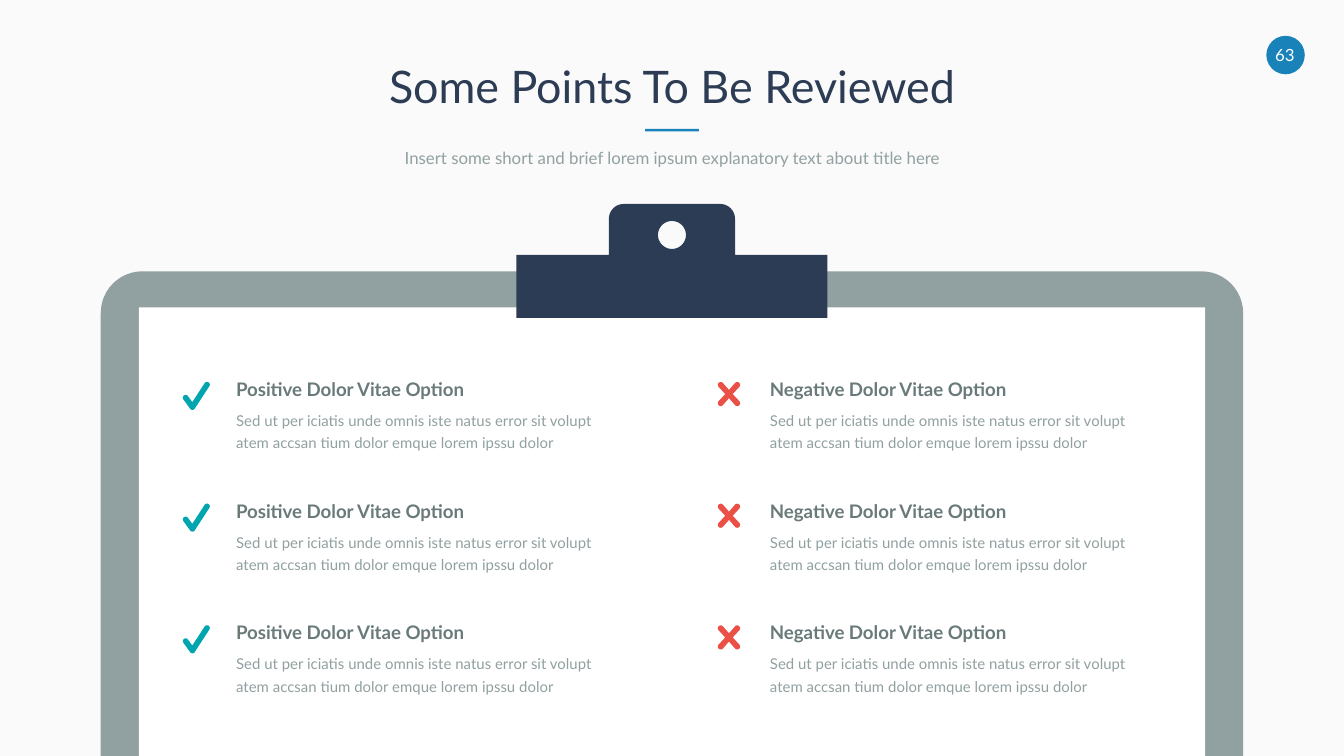
from dataclasses import dataclass
from math import cos, radians, sin

from pptx import Presentation
from pptx.dml.color import RGBColor as Rgb
from pptx.enum.shapes import MSO_SHAPE as Kind
from pptx.enum.text import MSO_ANCHOR as Anchor, MSO_AUTO_SIZE as Fit, PP_ALIGN as Align
from pptx.util import Pt


@dataclass(frozen=True)
class Theme:
    """Colours, font and type sizes."""
    font: str = "Lato"
    back: str = "FAFAFA"
    white: str = "FFFFFF"
    blue: str = "1982B9"
    navy: str = "2D3C55"
    grey: str = "91A0A0"
    dark: str = "6A7A7A"
    teal: str = "00A5AF"
    red: str = "EB5046"
    title: int = 24
    small: int = 9
    head: int = 10
    body: int = 8


T = Theme()
DETAIL = ("Sed ut per iciatis unde omnis iste natus error sit volupt "
          "atem accsan tium dolor emque lorem ipssu dolor")


def paint(shape, color):
    """Give a shape a flat fill with no line or shadow."""
    shape.fill.solid()
    shape.fill.fore_color.rgb = Rgb.from_string(color)
    shape.line.fill.background()
    shape.shadow.inherit = False


def block(slide, kind, x, y, w, h, color):
    """Add a flat preset shape."""
    shape = slide.shapes.add_shape(kind, Pt(x), Pt(y), Pt(w), Pt(h))
    paint(shape, color)
    return shape


def write(shape, text, size, color, align=Align.LEFT, bold=False, space=1.0):
    """Fill a shape with one styled paragraph."""
    frame = shape.text_frame
    frame.text = text
    frame.word_wrap = True
    frame.auto_size = Fit.NONE
    frame.vertical_anchor = Anchor.TOP
    frame.margin_left = frame.margin_right = frame.margin_top = frame.margin_bottom = 0
    para = frame.paragraphs[0]
    para.alignment = align
    para.line_spacing = space
    font = para.runs[0].font
    font.name, font.size, font.bold = T.font, Pt(size), bold
    font.color.rgb = Rgb.from_string(color)


def label(slide, x, y, w, h, *args, **style):
    """Add a styled text box."""
    write(slide.shapes.add_textbox(Pt(x), Pt(y), Pt(w), Pt(h)), *args, **style)


def arc(x, y, r, start, end, steps=12):
    """Return points along an arc, with angles in degrees."""
    turns = [radians(start + (end - start) * i / steps) for i in range(steps + 1)]
    return [(x + r * cos(a), y + r * sin(a)) for a in turns]


def outline(slide, x, y, paths, color):
    """Add a flat freeform made of closed paths."""
    paths = [[(Pt(x + px), Pt(y + py)) for px, py in path] for path in paths]
    pen = slide.shapes.build_freeform(*paths[0][0])
    pen.add_line_segments(paths[0][1:])
    for path in paths[1:]:
        pen.move_to(*path[0])
        pen.add_line_segments(path[1:])
    paint(pen.convert_to_shape(), color)


def tick(slide, x, y):
    """Draw a rounded tick."""
    path = (arc(1.6, 8.6, 1.5, 144, 324) + [(5.15, 10.95)]
            + arc(13, 1.6, 1.5, -147, 33) + arc(5.2, 13.6, 1.5, 33, 144))
    outline(slide, x, y, [path], T.teal)


def cross(slide, x, y):
    """Draw a rounded cross."""
    path = []
    arms = [(1, 1, 48, 0, 2.2), (-1, 1, 132, -2, 0),
            (-1, -1, 228, 0, -2.2), (1, -1, 312, 2, 0)]
    for dx, dy, turn, px, py in arms:
        path += arc(5.95 + 4.4 * dx, 6.5 + 4.9 * dy, 1.55, turn - 90, turn + 90)
        path.append((5.95 + px, 6.5 + py))
    outline(slide, x, y, [path], T.red)


def header(slide, x, y, w):
    """Place the title, its rule and the subtitle."""
    title = slide.shapes.title
    title.left, title.top, title.width, title.height = Pt(x), Pt(y), Pt(w), Pt(31.7)
    write(title, "Some Points To Be Reviewed", T.title, T.navy, Align.CENTER)
    block(slide, Kind.RECTANGLE, x + w / 2 - 14.4, y + 37.8, 28.8, 1.4, T.blue)
    label(slide, x, y + 48, w, 12.2,
          "Insert some short and brief lorem ipsum explanatory text about title here",
          T.small, T.grey, align=Align.CENTER)


def badge(slide, x, y, d):
    """Place the page number on its disc."""
    block(slide, Kind.OVAL, x, y, d, d, T.blue)
    label(slide, x + 0.9, y + 4.6, 18, 10.8, "63", T.small, T.white, align=Align.CENTER)


def board(slide, x, y, w, h):
    """Place the board and its paper."""
    back = block(slide, Kind.ROUND_2_SAME_RECTANGLE, x, y, w, h, T.grey)
    back.adjustments[0] = 22.3 / h
    block(slide, Kind.RECTANGLE, x + 20.4, y + 19.2, w - 40.8, h - 19.2, T.white)


def clip(slide, x, y, w, h):
    """Place the clip with its hole."""
    mid, half, r, step = w / 2, 33.8, 8, 27.3
    left, right = mid - half, mid + half
    edge = (arc(left + r, r, r, 180, 270) + arc(right - r, r, r, 270, 360)
            + [(right, step), (w, step), (w, h), (0, h), (0, step), (left, step)])
    outline(slide, x, y, [edge, arc(mid, 16.6, 7.5, 360, 0, 48)], T.navy)


def points(slide, x, y, name, icon, dx, dy):
    """Place a column of three points beside their icons."""
    for row in range(3):
        top = y + row * 65.2
        icon(slide, x + dx, top + dy)
        label(slide, x, top, 194.4, 12.2, f"{name} Dolor Vitae Option",
              T.head, T.dark, bold=True)
        label(slide, x, top + 15.7, 194.4, 24.5, DETAIL, T.body, T.grey, space=1.25)


def main():
    """Build and save the slide."""
    deck = Presentation()
    deck.slide_width, deck.slide_height = Pt(720), Pt(405)
    slide = deck.slides.add_slide(deck.slide_layouts[5])
    fill = slide.background.fill
    fill.solid()
    fill.fore_color.rgb = Rgb.from_string(T.back)
    header(slide, 54, 31.2, 612)
    badge(slide, 678.4, 19.2, 20.6)
    board(slide, 54, 145.4, 612, 259.6)
    clip(slide, 276.7, 109.3, 166.6, 61)
    points(slide, 126.5, 202.4, "Positive", tick, -28.6, 2.1)
    points(slide, 412.5, 202.4, "Negative", cross, -27.9, 2.2)
    deck.save("out.pptx")


if __name__ == "__main__":
    main()
